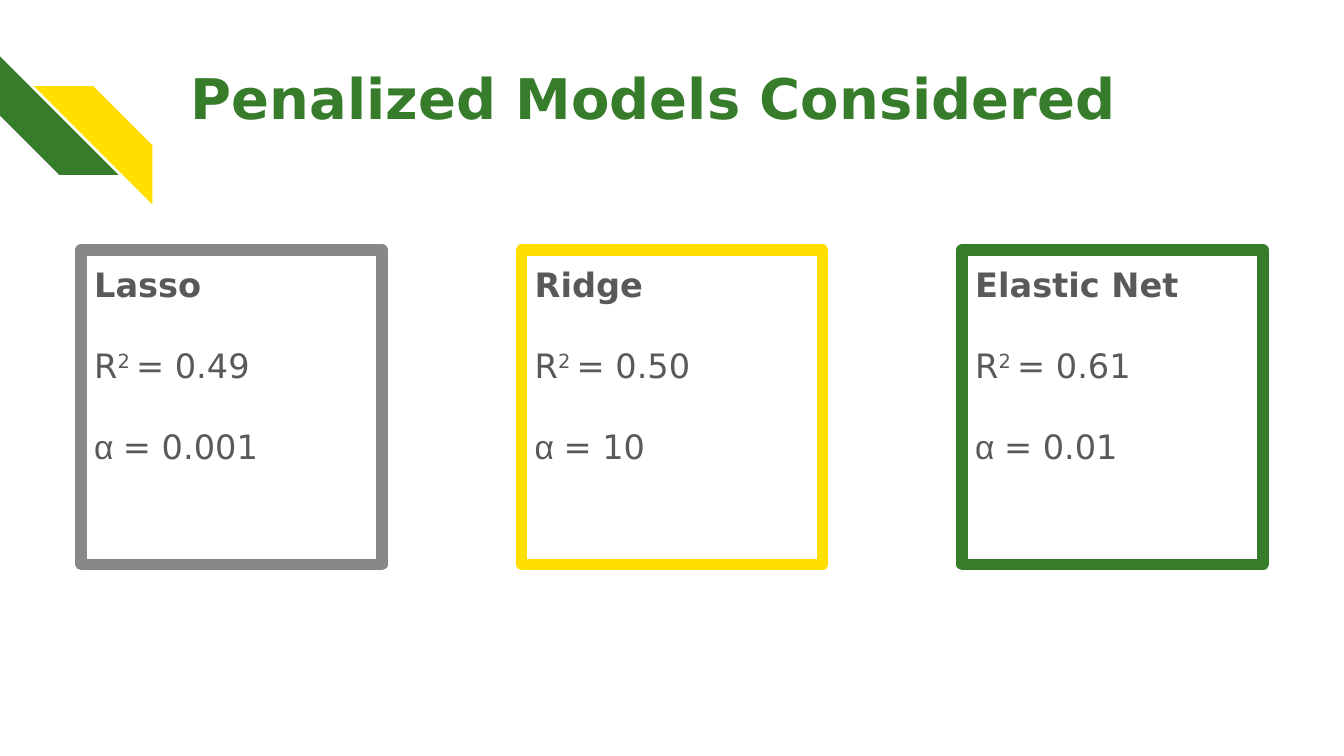
from pptx import Presentation
from pptx import util as u
from pptx.dml import color
from pptx.enum import shapes, text

Pt = u.Pt
GREEN, GOLD, GRAY, INK = "367C2B", "FFDE00", "888888", "595959"


def tint(code):
    return color.RGBColor.from_string(code)


def put(para, words, size=18, face="DejaVu Sans", hue=INK, bold=False, base=0):
    run = para.add_run()
    run.text = words
    run.font.size = Pt(size)
    run.font.name = face
    run.font.bold = bold
    run.font.color.rgb = tint(hue)
    if base:
        run.font._element.set("baseline", str(base * 1000))


deck = Presentation()
deck.slide_width, deck.slide_height = Pt(720), Pt(405)
slide = deck.slides.add_slide(deck.slide_layouts[6])
items = slide.shapes

for left, top, turn, hue in [(0, 30.2, 270, GREEN), (18.2, 46.2, 90, GOLD)]:
    stripe = items.add_shape(shapes.MSO_SHAPE.DIAGONAL_STRIPE,
                             Pt(left), Pt(top), Pt(63.5), Pt(63.5))
    stripe.adjustments[0] = 0.5
    stripe.rotation = turn
    stripe.shadow.inherit = False
    stripe.fill.solid()
    stripe.fill.fore_color.rgb = tint(hue)
    stripe.line.fill.background()

title = items.add_textbox(Pt(102.3), Pt(31), Pt(554.4), Pt(72))
frame = title.text_frame
frame.word_wrap = True
frame.margin_left = frame.margin_right = frame.margin_top = frame.margin_bottom = 0
head = frame.paragraphs[0]
head.line_spacing = 1.08
put(head, "Penalized Models Considered", size=30, hue=GREEN, bold=True)

models = [
    ("Lasso", "0.49", "0.001", GRAY),
    ("Ridge", "0.50", "10", GOLD),
    ("Elastic Net", "0.61", "0.01", GREEN),
]
for col, (name, score, alpha, hue) in enumerate(models):
    box = items.add_shape(shapes.MSO_SHAPE.RECTANGLE,
                          Pt(43.4 + col * 236), Pt(134), Pt(161.3), Pt(168.5))
    box.shadow.inherit = False
    box.fill.background()
    box.line.color.rgb = tint(hue)
    box.line.width = Pt(6)
    frame = box.text_frame
    frame.word_wrap = True
    frame.vertical_anchor = text.MSO_ANCHOR.TOP
    frame.margin_left = frame.margin_right = Pt(7.2)
    frame.margin_top = frame.margin_bottom = Pt(7.2)
    rows = [
        [(name, {"bold": True})],
        [("R", {}), ("2 ", {"base": 30}), (f"= {score}", {})],
        [("α ", {"face": "Arial"}), (f"= {alpha}", {})],
    ]
    for row, runs in enumerate(rows):
        para = frame.add_paragraph() if row else frame.paragraphs[0]
        para.alignment = text.PP_ALIGN.LEFT
        if row:
            para.space_before = Pt(22)
        for words, form in runs:
            put(para, words, **form)

deck.save("out.pptx")
